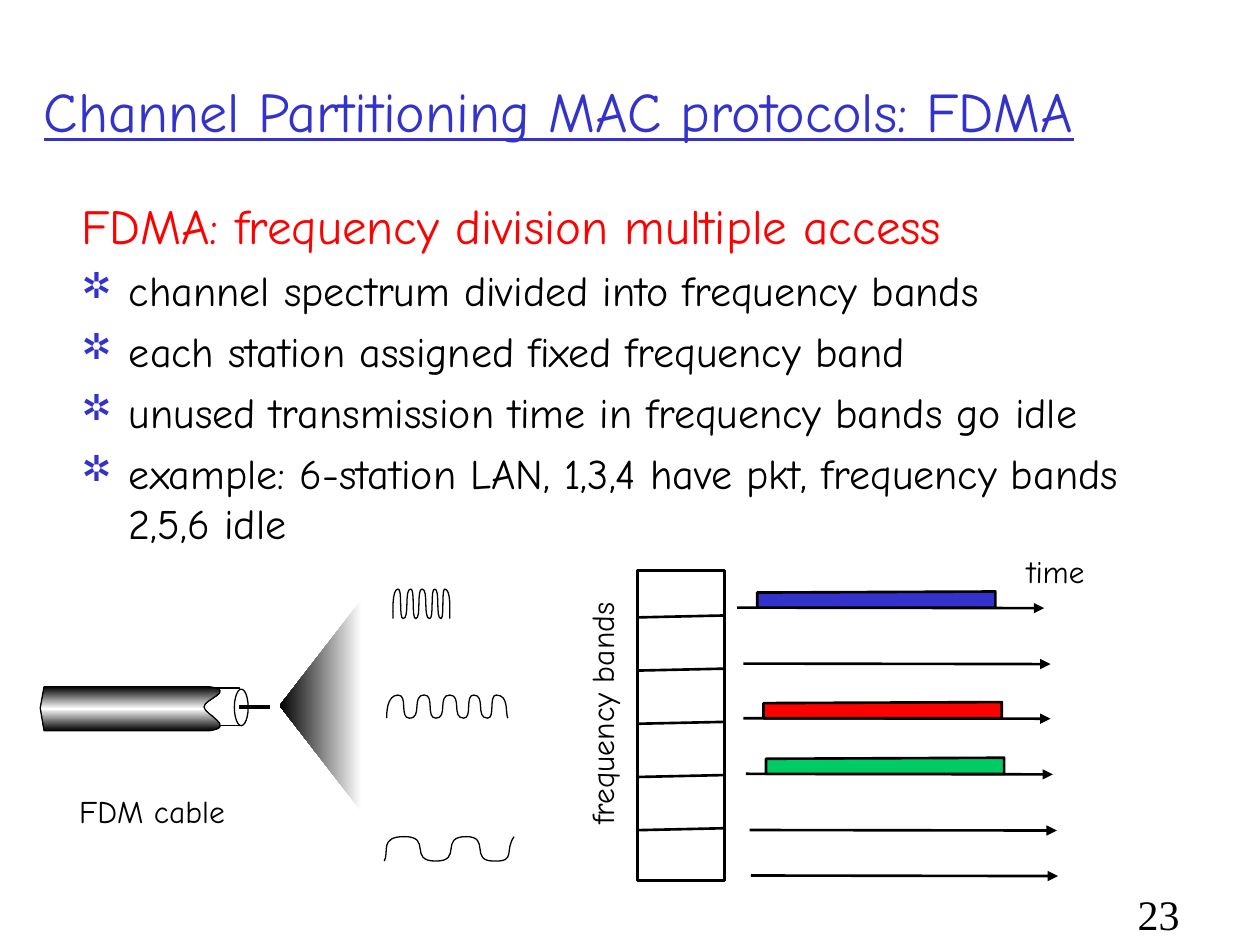
"""Build the FDMA channel partitioning slide."""
from copy import deepcopy
from dataclasses import dataclass

from lxml import etree
from pptx import Presentation
from pptx.dml.color import RGBColor
from pptx.enum.shapes import MSO_CONNECTOR, MSO_SHAPE
from pptx.enum.text import MSO_ANCHOR, MSO_AUTO_SIZE
from pptx.oxml.ns import qn
from pptx.util import Pt

LINE = MSO_CONNECTOR.STRAIGHT
RECT, OVAL = MSO_SHAPE.RECTANGLE, MSO_SHAPE.OVAL
MIDDLE, GROW = MSO_ANCHOR.MIDDLE, MSO_AUTO_SIZE.SHAPE_TO_FIT_TEXT


@dataclass(frozen=True)
class Theme:
    """Colours, fonts and sizes."""
    blue: str = "3333CC"
    red: str = "FF0000"
    green: str = "00CC66"
    black: str = "000000"
    white: str = "FFFFFF"
    sans: str = "Comic Neue"
    serif: str = "Times New Roman"
    marks: str = "ZapfDingbats"
    title: int = 32
    head: int = 28
    body: int = 24
    label: int = 18
    thin: float = 0.75
    mid: float = 1.5
    thick: float = 2.25


T = Theme()
TITLE = "Channel Partitioning MAC protocols: FDMA"
HEAD = "FDMA: frequency division multiple access"
ITEMS = [
    "channel spectrum divided into frequency bands",
    "each station assigned fixed frequency band",
    "unused transmission time in frequency bands go idle",
    "example: 6-station LAN, 1,3,4 have pkt, frequency bands 2,5,6 idle",
]
LABELS = [
    ("frequency bands", (272.9, 393.1, 141.8, 28.8), 270),
    ("time", (579.6, 311.8, 47.5, 28.8), 0.5),
    ("FDM cable", (38.2, 449.3, 97.9, 28.8), 0),
]
STACK = (364.3, 326, 49.7, 177.1)
AXES = [
    (421.2, 347.2, T.blue), (424.8, 379.2, None), (424.8, 410.4, T.red),
    (426.2, 442.2, T.green), (428.4, 474.3, None), (429.1, 500.3, None),
]
WAVES = [
    (336.6, 353.5, [224.6, 227.5, 230.4, 234.7, 237.6, 241.2,
                    245.5, 248.4, 252, 254.2, 257],
     [(224.6, 349.9), (223.9, 336.6)], [(257.8, 337), (257, 348.5)]),
    (397.2, 410.4, [221, 227.5, 234, 242.6, 249.1, 257,
                    265, 270.7, 278.6, 283.7, 290.2],
     [(221, 407.5), (221, 397.4)], [(290.9, 397.4), (288.7, 406.8)]),
    (478.1, 492.1, [219.6, 231.1, 249.1, 266.4, 282.2, 293.8],
     [(222.5, 486.7), (216.7, 478.1)], [(295.2, 492.5), (288, 486)]),
]
PULL = 0.9
WEDGE = [(206.6, 342.7), (159.8, 403.2), (206.6, 463.7)]
SHEATH = [(25.2, 392.4), (23, 404.6), (25.2, 417.6), (119.5, 417.6)]
NOTCH = [(135.4, 415.4), (116.6, 408.2), (116.6, 403.9),
         (116.6, 399.6), (135.4, 394.6), (119.5, 392.4)]


def rgb(tone):
    return RGBColor.from_string(tone)


def paint(shape, fill=None, width=None):
    shape.shadow.inherit = False
    if fill:
        shape.fill.solid()
        shape.fill.fore_color.rgb = rgb(fill)
    else:
        shape.fill.background()
    if width:
        shape.line.color.rgb = rgb(T.black)
        shape.line.width = Pt(width)
    else:
        shape.line.fill.background()
    return shape


def shade(shape, tones, angle):
    fill = shape.fill
    fill.gradient()
    fill.gradient_angle = angle
    stops = shape.element.xpath(".//a:gsLst")[0]
    while len(stops) < len(tones):
        stops.append(deepcopy(stops[0]))
    for i, (stop, tone) in enumerate(zip(fill.gradient_stops, tones)):
        stop.color.rgb = rgb(tone)
        stop.position = i / (len(tones) - 1)


def block(shapes, kind, box, fill, width):
    return paint(shapes.add_shape(kind, *map(Pt, box)), fill, width)


def trace(shapes, points, close, fill=None, width=None):
    first, *rest = [(Pt(x), Pt(y)) for x, y in points]
    pen = shapes.build_freeform(*first, scale=1.0)
    pen.add_line_segments(rest, close=close)
    return paint(pen.convert_to_shape(), fill, width)


def bend(shape, start=0):
    """Turn each three line segments after start into one curve."""
    lines = shape.element.xpath(".//a:lnTo")[start:]
    for i in range(0, len(lines) - 2, 3):
        arc = etree.Element(qn("a:cubicBezTo"))
        lines[i].addprevious(arc)
        for line in lines[i:i + 3]:
            arc.append(line[0])
            line.getparent().remove(line)
    return shape


def wave(shapes, top, base, marks, head, tail):
    knots = [(x, top if i % 2 else base) for i, x in enumerate(marks)]
    points, last = knots[:1], len(knots) - 2
    for i, (a, b) in enumerate(zip(knots, knots[1:])):
        reach = PULL * (b[0] - a[0])
        pair = [(a[0] + reach, a[1]), (b[0] - reach, b[1])]
        points += {0: head, last: tail}.get(i, pair) + [b]
    bend(trace(shapes, points, False, width=T.thin))


def rule(shapes, start, end, width, arrow=False):
    line = shapes.add_connector(LINE, *map(Pt, (*start, *end)))
    line.line.color.rgb = rgb(T.black)
    line.line.width = Pt(width)
    if arrow:
        tail = etree.SubElement(line.line._get_or_add_ln(), qn("a:tailEnd"))
        tail.set("type", "triangle")
    etree.SubElement(line.element.spPr, qn("a:effectLst"))


def style(para, size, tone, face=T.sans):
    font = para.font
    font.name, font.size = face, Pt(size)
    font.color.rgb = rgb(tone)


def text(shapes, words, box, size, tone, face=T.sans, wrap=True):
    shape = shapes.add_textbox(*map(Pt, box))
    frame = shape.text_frame
    frame.word_wrap = wrap
    para = frame.paragraphs[0]
    para.text = words
    style(para, size, tone, face)
    return shape


def bullet(para):
    props = para._p.get_or_add_pPr()
    props.set("marL", str(Pt(27)))
    props.set("indent", str(-Pt(27)))
    hue = etree.SubElement(props, qn("a:buClr"))
    etree.SubElement(hue, qn("a:srgbClr")).set("val", T.blue)
    etree.SubElement(props, qn("a:buSzPct")).set("val", "85000")
    etree.SubElement(props, qn("a:buFont")).set("typeface", T.marks)
    etree.SubElement(props, qn("a:buChar")).set("char", "❒")


def words(shapes):
    title = text(shapes, TITLE, (18, 18, 679.7, 90), T.title, T.blue)
    title.text_frame.vertical_anchor = MIDDLE
    title.text_frame.paragraphs[0].font.underline = True
    body = text(shapes, HEAD, (39.6, 108, 647.3, 365.8), T.head, T.red)
    for item in ITEMS:
        para = body.text_frame.add_paragraph()
        para.text = item
        para.space_before = Pt(6)
        bullet(para)
        style(para, T.body, T.black)
    for name, box, turn in LABELS:
        label = text(shapes, name, box, T.label, T.black, wrap=False)
        label.text_frame.auto_size = GROW
        label.rotation = turn
    text(shapes, "23", (643, 504, 52.6, 64.8), T.body, T.black, T.serif)


def bands(shapes):
    block(shapes, RECT, STACK, T.white, T.mid)
    left, wide = STACK[0], STACK[2]
    for i in range(5):
        y = 352.8 + 30.4 * i
        rule(shapes, (left, y), (left + wide, y - 1.1), T.mid)
    for x, y, tone in AXES:
        rule(shapes, (x, y), (x + 175.5, y + 0.3), T.mid, arrow=True)
        if tone:
            near, far = x + 11.5, x + 147.6
            bar = [(near, y), (near, y - 8.6), (far, y - 9.2), (far, y)]
            trace(shapes, bar, True, tone, T.mid)


def cable(shapes):
    shade(trace(shapes, WEDGE, True), [T.white, T.black], 180)
    block(shapes, RECT, (115.9, 393.1, 20.9, 21.6), T.white, T.thin)
    tube = trace(shapes, SHEATH + NOTCH, True, width=T.thin)
    shade(bend(tube, len(SHEATH) - 1), [T.black, T.white, T.black], 90)
    block(shapes, OVAL, (133.9, 393.8, 7.9, 20.9), T.white, T.thin)
    rule(shapes, (136.8, 403.9), (154.1, 403.9), T.thick)
    for spec in WAVES:
        wave(shapes, *spec)


def main():
    deck = Presentation()
    deck.slide_width, deck.slide_height = Pt(720), Pt(540)
    shapes = deck.slides.add_slide(deck.slide_layouts[6]).shapes
    bands(shapes)
    cable(shapes)
    words(shapes)
    deck.save("out.pptx")


if __name__ == "__main__":
    main()
